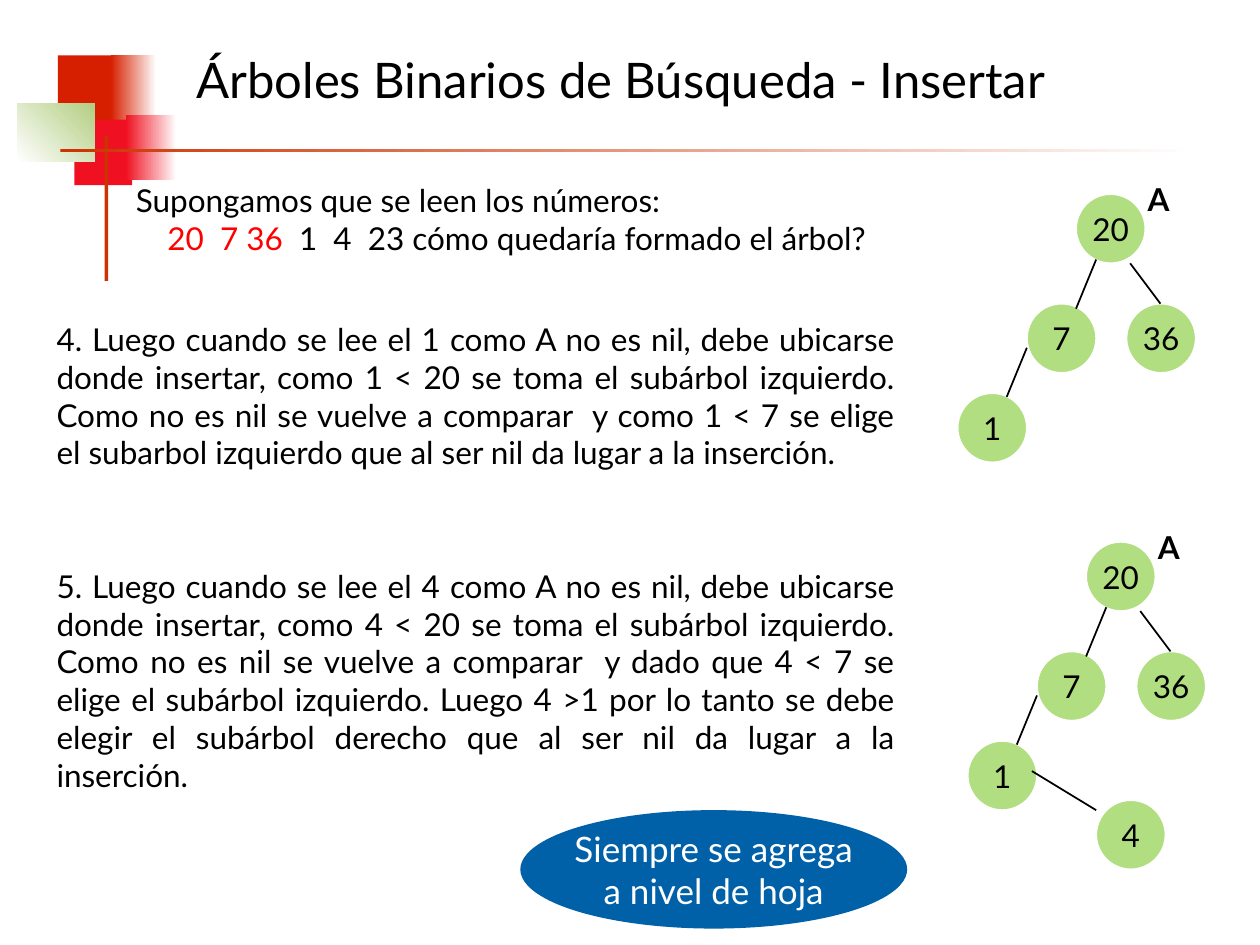
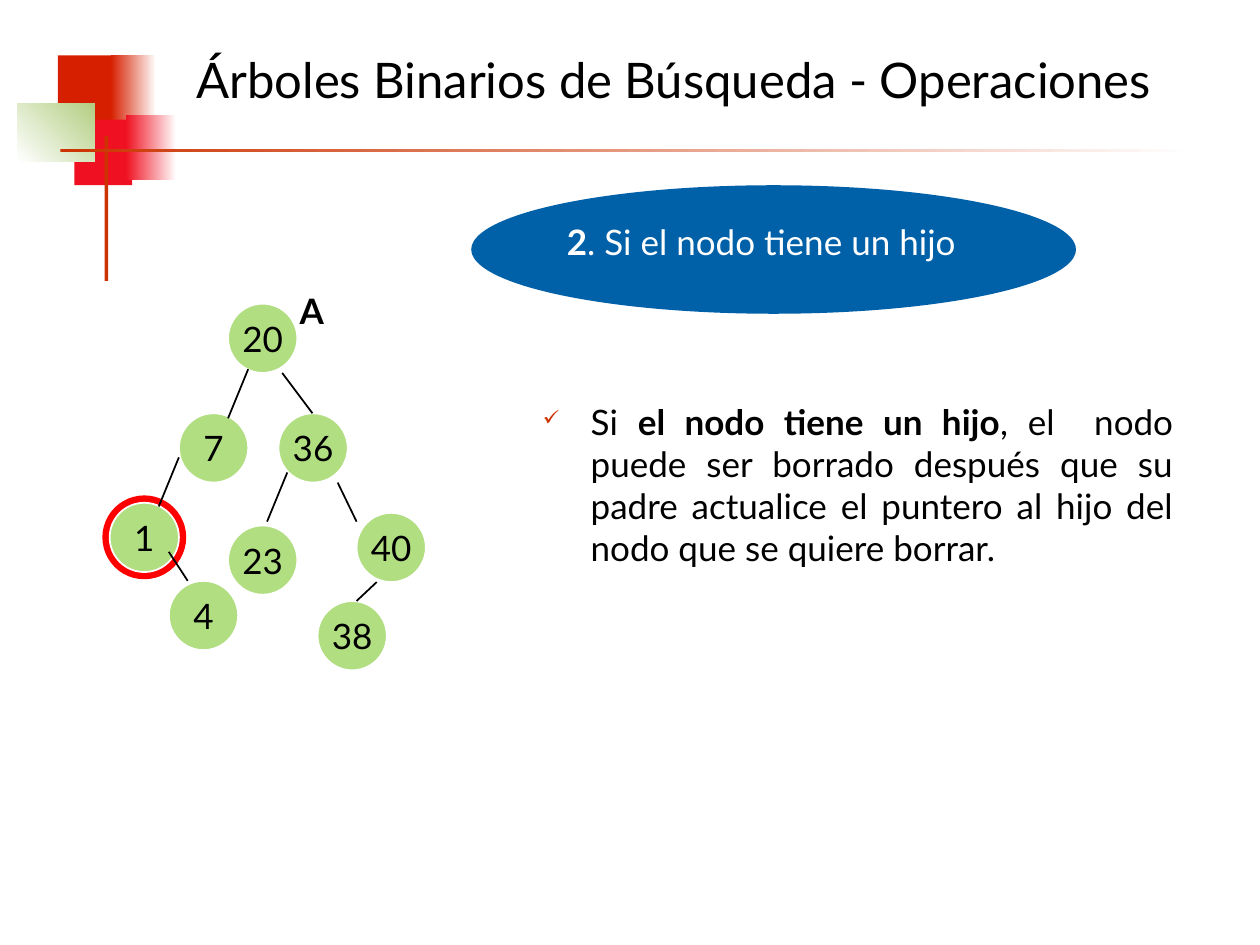
from dataclasses import dataclass

from lxml import etree
from pptx import Presentation
from pptx.dml.color import RGBColor
from pptx.enum.shapes import MSO_CONNECTOR, MSO_SHAPE
from pptx.enum.text import MSO_ANCHOR, MSO_AUTO_SIZE, PP_ALIGN
from pptx.oxml.ns import qn
from pptx.util import Inches, Pt

RECTANGLE, OVAL = MSO_SHAPE.RECTANGLE, MSO_SHAPE.OVAL
STRAIGHT = MSO_CONNECTOR.STRAIGHT
LEFT, CENTER, JUSTIFY = PP_ALIGN.LEFT, PP_ALIGN.CENTER, PP_ALIGN.JUSTIFY
TOP, MIDDLE = MSO_ANCHOR.TOP, MSO_ANCHOR.MIDDLE
NO_AUTOFIT = MSO_AUTO_SIZE.NONE


@dataclass(frozen=True)
class Theme:
    font: str = "Lato"
    title_size: int = 28
    large_size: int = 20
    body_size: int = 18
    ink: str = "000000"
    paper: str = "FFFFFF"
    accent: str = "CC3300"
    brick: str = "D61F00"
    red: str = "EF1121"
    olive: str = "B3CE82"
    node: str = "B2DE82"
    callout: str = "0060A8"
    highlight: str = "FF0000"
    ring_fill: str = "BED1E0"


THEME = Theme()

# Tree geometry, in inches from the top left corner of the root node.
NODE_SIZE = 0.55
BASE_NODES = {"20": (0, 0), "7": (-0.39, 0.87), "36": (0.4, 0.87), "1": (-0.94, 1.58)}
BASE_EDGES = [
    ((0.16, 0.52), (0, 0.91)),
    ((0.43, 0.55), (0.67, 0.87)),
    ((-0.39, 1.22), (-0.55, 1.61)),
]
INSERTED_NODES = BASE_NODES | {"4": (0.08, 2.05)}
INSERTED_EDGES = BASE_EDGES + [((-0.43, 1.82), (0.08, 2.13))]
FULL_NODES = BASE_NODES | {
    "4": (-0.47, 2.2), "23": (0, 1.76), "40": (1.02, 1.66), "38": (0.71, 2.36),
}
FULL_EDGES = BASE_EDGES + [
    ((-0.47, 1.97), (-0.32, 2.2)),
    ((0.47, 1.34), (0.31, 1.73)),
    ((0.87, 1.42), (1.02, 1.73)),
    ((1.18, 2.21), (1.02, 2.36)),
]


def color(code):
    return RGBColor.from_string(code)


def write_text(frame, paragraphs, size=THEME.body_size, ink=THEME.ink, bold=False,
               align=LEFT, anchor=TOP, wrap=True):
    """Fill a frame; each paragraph is a string or a list of (text, format) spans."""
    frame.word_wrap = wrap
    frame.auto_size = NO_AUTOFIT
    frame.vertical_anchor = anchor
    frame.margin_left = frame.margin_right = Inches(0.1)
    frame.margin_top = frame.margin_bottom = Inches(0.05)
    for index, content in enumerate(paragraphs):
        para = frame.add_paragraph() if index else frame.paragraphs[0]
        para.alignment = align
        spans = [(content, {})] if isinstance(content, str) else content
        for text, style in spans:
            span = para.add_run()
            span.text = text
            span.font.name = THEME.font
            span.font.size = Pt(size)
            span.font.bold = style.get("bold", bold)
            span.font.color.rgb = color(style.get("ink", ink))


def add_text(page, box, paragraphs, **style):
    frame = page.shapes.add_textbox(*map(Inches, box)).text_frame
    write_text(frame, paragraphs, **style)
    return frame


def add_filled(page, kind, box, fill, line=None, line_width=1):
    shape = page.shapes.add_shape(kind, *map(Inches, box))
    shape.shadow.inherit = False
    shape.fill.solid()
    shape.fill.fore_color.rgb = color(fill)
    if line:
        shape.line.color.rgb = color(line)
        shape.line.width = Pt(line_width)
    else:
        shape.line.fill.background()
    return shape


def add_gradient(page, box, start, end, angle=0):
    shape = add_filled(page, RECTANGLE, box, start)
    shape.fill.gradient()
    shape.fill.gradient_angle = angle
    for stop, code in zip(shape.fill.gradient_stops, (start, end)):
        stop.color.rgb = color(code)


def add_edge(page, start, end):
    edge = page.shapes.add_connector(STRAIGHT, *map(Inches, (*start, *end)))
    edge.line.color.rgb = color(THEME.ink)
    edge.line.width = Pt(1)
    etree.SubElement(edge._element.spPr, qn("a:effectLst"))


def add_check_bullet(para, indent):
    properties = para._p.get_or_add_pPr()
    properties.set("marL", str(Inches(indent)))
    properties.set("indent", str(-Inches(indent)))
    bullet_color = etree.SubElement(properties, qn("a:buClr"))
    etree.SubElement(bullet_color, qn("a:srgbClr"), val=THEME.accent)
    etree.SubElement(properties, qn("a:buSzPct"), val="60000")
    etree.SubElement(properties, qn("a:buChar"), char="✓")


def draw_corner_ornament(page):
    add_filled(page, RECTANGLE, (0.46, 0.44, 0.48, 0.52), THEME.brick)
    add_gradient(page, (0.88, 0.44, 0.36, 0.52), THEME.brick, THEME.paper)
    add_filled(page, RECTANGLE, (0.59, 0.95, 0.46, 0.52), THEME.red)
    add_gradient(page, (1, 0.91, 0.4, 0.52), THEME.red, THEME.paper)
    add_gradient(page, (0.14, 0.82, 0.61, 0.46), THEME.paper, THEME.olive, angle=45)
    add_filled(page, RECTANGLE, (0.83, 1.08, 0.03, 1.15), THEME.accent)
    add_gradient(page, (0.48, 1.18, 9, 0.03), THEME.accent, THEME.paper)


def start_page(deck, title):
    """Add a page with the shared ornament and title style."""
    page = deck.slides.add_slide(deck.slide_layouts.get_by_name("Title Only"))
    draw_corner_ornament(page)
    heading = page.shapes.title
    heading.left, heading.top, heading.width, heading.height = map(
        Inches, (1.46, 0.13, 8.11, 1))
    write_text(heading.text_frame, [title], size=THEME.title_size, anchor=MIDDLE)
    return page


def draw_tree(page, root, nodes, edges, size=THEME.body_size, ringed=None):
    """Draw a tree whose root node has its top left corner at root."""
    def place(point):
        return root[0] + point[0], root[1] + point[1]

    if ringed:
        left, top = place(nodes[ringed])
        margin = 0.03
        ring_size = NODE_SIZE + 2 * margin
        add_filled(page, OVAL, (left - margin, top - margin, ring_size, ring_size),
                   THEME.ring_fill, line=THEME.highlight, line_width=4)
    for value, point in nodes.items():
        node = add_filled(page, OVAL, (*place(point), NODE_SIZE, NODE_SIZE),
                          THEME.node, line=THEME.paper)
        write_text(node.text_frame, [value], size=size, align=CENTER,
                   anchor=MIDDLE, wrap=False)
    for start, end in edges:
        add_edge(page, place(start), place(end))
    add_text(page, (*place((0.47, -0.16)), 0.39, 0.4), ["A"], size=size, bold=True)


def build_insert_page(deck):
    page = start_page(deck, "Árboles Binarios de Búsqueda - Insertar")
    question = add_text(page, (0.98, 1.39, 8.59, 0.7), [
        "Supongamos que se leen los números:",
        [("20  7 36  ", {"ink": THEME.highlight}),
         ("1  4  23 cómo quedaría formado el árbol?", {})],
    ], align=JUSTIFY)
    question.paragraphs[1]._p.get_or_add_pPr().set("marL", str(Inches(0.25)))

    add_text(page, (0.35, 2.49, 6.85, 1.6), [
        "4. Luego cuando se lee el 1 como A no es nil, debe ubicarse donde insertar, "
        "como 1 < 20 se toma el subárbol izquierdo. Como no es nil se vuelve a "
        "comparar  y como 1 < 7 se elige el subarbol izquierdo que al ser nil da "
        "lugar a la inserción."], align=JUSTIFY)
    draw_tree(page, (8.54, 1.54), BASE_NODES, BASE_EDGES)

    add_text(page, (0.35, 4.45, 6.85, 1.9), [
        "5. Luego cuando se lee el 4 como A no es nil, debe ubicarse donde insertar, "
        "como 4 < 20 se toma el subárbol izquierdo. Como no es nil se vuelve a "
        "comparar  y dado que 4 < 7 se elige el subárbol izquierdo. Luego 4 >1 por lo "
        "tanto se debe elegir el subárbol derecho que al ser nil da lugar a la "
        "inserción."], align=JUSTIFY)
    draw_tree(page, (8.62, 4.3), INSERTED_NODES, INSERTED_EDGES)

    callout = add_filled(page, OVAL, (4.13, 6.43, 3.07, 0.94), THEME.callout)
    write_text(callout.text_frame, ["Siempre se agrega", "a nivel de hoja"],
               size=THEME.large_size, ink=THEME.paper, align=CENTER,
               anchor=MIDDLE, wrap=False)


def build_delete_page(deck):
    page = start_page(deck, "Árboles Binarios de Búsqueda - Operaciones")
    add_filled(page, OVAL, (3.74, 1.47, 4.8, 1.02), THEME.callout)
    add_text(page, (4.4, 1.7, 4, 0.5),
             [[("2", {"bold": True}), (". Si el nodo tiene un hijo", {})]],
             size=THEME.large_size, ink=THEME.paper)

    rule = add_text(page, (4.21, 3.13, 5.2, 1.8), [[
        ("Si ", {}),
        ("el nodo tiene un hijo", {"bold": True}),
        (", el  nodo puede ser borrado después que su padre actualice el puntero "
         "al hijo del nodo que se quiere borrar.", {}),
    ]], size=THEME.large_size, align=JUSTIFY)
    add_check_bullet(rule.paragraphs[0], indent=0.38)

    draw_tree(page, (1.81, 2.41), FULL_NODES, FULL_EDGES,
              size=THEME.large_size, ringed="1")


def main():
    deck = Presentation()
    deck.slide_width, deck.slide_height = Inches(10), Inches(7.5)
    build_insert_page(deck)
    build_delete_page(deck)
    deck.save("out.pptx")


if __name__ == "__main__":
    main()
